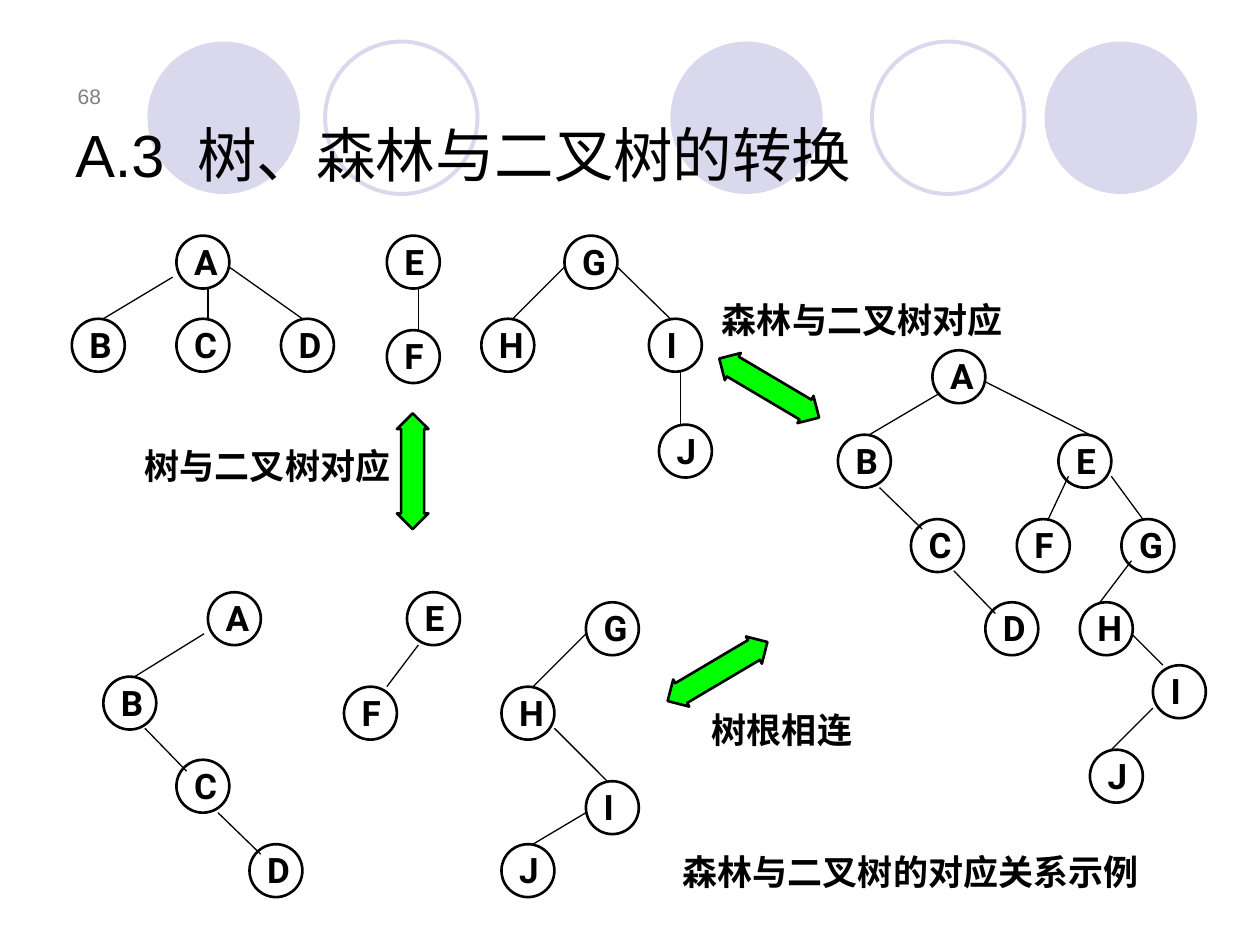
from pptx import Presentation
from pptx.dml.color import RGBColor
from pptx.enum.shapes import MSO_CONNECTOR, MSO_SHAPE as Shape
from pptx.enum.text import MSO_ANCHOR as Anchor, PP_ALIGN as Align
from pptx.oxml.ns import qn
from pptx.util import Inches, Pt
from lxml import etree

BLACK = RGBColor(0, 0, 0)
GRAY = RGBColor(0x80, 0x80, 0x80)
GREEN = RGBColor(0, 0xFF, 0)
LAVENDER = RGBColor(0xD9, 0xD8, 0xEC)

# Each tree: nodes as {letter: (left, top)}, edges as (x1, y1, x2, y2).
TREES = [
    # forest
    ({"A": (1.4, 1.87), "B": (0.57, 2.53), "C": (1.4, 2.53), "D": (2.23, 2.53)},
     [(1.37, 2.2, 0.82, 2.53), (1.82, 2.12, 2.4, 2.53), (1.65, 2.28, 1.65, 2.53)]),
    ({"E": (3.07, 1.87), "F": (3.07, 2.62)},
     [(3.32, 2.28, 3.32, 2.62)]),
    ({"G": (4.48, 1.87), "H": (3.82, 2.53), "I": (5.15, 2.53), "J": (5.23, 3.37)},
     [(4.48, 2.12, 4.07, 2.53), (4.9, 2.12, 5.32, 2.53), (5.4, 2.95, 5.4, 3.37)]),
    # one binary tree for each tree
    ({"A": (1.65, 4.7), "B": (0.82, 5.37), "C": (1.4, 6.03), "D": (1.98, 6.7)},
     [(1.62, 5.03, 1.07, 5.37), (1.15, 5.78, 1.48, 6.12), (1.73, 6.45, 2.07, 6.78)]),
    ({"E": (3.23, 4.7), "F": (2.73, 5.45)},
     [(3.32, 5.12, 3.07, 5.45)]),
    ({"G": (4.65, 4.78), "H": (3.98, 5.45), "I": (4.65, 6.2), "J": (3.98, 6.7)},
     [(4.65, 5.03, 4.23, 5.45), (4.4, 5.78, 4.82, 6.2), (4.65, 6.45, 4.23, 6.7)]),
    # joined binary tree
    ({"A": (7.4, 2.78), "B": (6.65, 3.45), "C": (7.23, 4.12), "D": (7.82, 4.78),
      "E": (8.4, 3.45), "F": (8.07, 4.12), "G": (8.9, 4.12), "H": (8.57, 4.78),
      "I": (9.15, 5.28), "J": (8.65, 5.95)},
     [(7.46, 3.12, 6.9, 3.45), (6.98, 3.87, 7.32, 4.2), (7.57, 4.53, 7.9, 4.87),
      (7.82, 3.03, 8.65, 3.45), (8.48, 3.78, 8.32, 4.12), (8.82, 3.78, 9.07, 4.12),
      (8.98, 4.45, 8.73, 4.78), (8.98, 5.03, 9.23, 5.28), (9.15, 5.62, 8.82, 5.95)]),
]

# left, top, rotation of the arrow, then its label and the label's box
CONVERSIONS = [
    (3.15, 3.28, 0, "树与二叉树对应", (1.15, 3.53, 1.96, 0.33)),
    (5.98, 2.62, 300.6, "森林与二叉树对应", (5.73, 2.37, 2.24, 0.33)),
    (5.57, 4.87, 59.4, "树根相连", (5.65, 5.62, 1.12, 0.33)),
]


class TreeSlide:
    node_size = 0.42
    circle_size = 1.21
    label_font = "Roboto"
    heading_font = "Arial"

    def __init__(self, slide):
        self.shapes = slide.shapes

    def outline(self, kind, box, fill=None, line=None, width=1.5):
        shape = self.shapes.add_shape(kind, *map(Inches, box))
        shape.shadow.inherit = False
        if fill is None:
            shape.fill.background()
        else:
            shape.fill.solid()
            shape.fill.fore_color.rgb = fill
        if line is None:
            shape.line.fill.background()
        else:
            shape.line.color.rgb = line
            shape.line.width = Pt(width)
        return shape

    def text(self, words, box, font, size=20, color=BLACK, bold=False, wrap=True,
             inset=True, anchor=Anchor.TOP, align=Align.LEFT, spacing=None):
        frame = self.shapes.add_textbox(*map(Inches, box)).text_frame
        frame.word_wrap = wrap
        frame.vertical_anchor = anchor
        if not inset:
            frame.margin_left = frame.margin_right = 0
            frame.margin_top = frame.margin_bottom = 0
        frame.text = words
        paragraph = frame.paragraphs[0]
        paragraph.alignment = align
        paragraph.line_spacing = spacing
        style = paragraph.runs[0].font
        style.name, style.size, style.bold = font, Pt(size), bold
        style.color.rgb = color

    def heading(self, words, box, **style):
        self.text(words, box, self.heading_font, anchor=Anchor.BOTTOM, **style)

    def label(self, words, box, **style):
        self.text(words, box, self.label_font, bold=True, **style)

    def circle(self, left, top, **style):
        self.outline(Shape.OVAL, (left, top, self.circle_size, self.circle_size), **style)

    def node(self, letter, left, top):
        self.label(letter, (left + 0.14, top + 0.1, 0.22, 0.27), inset=False, spacing=0.8)
        self.outline(Shape.OVAL, (left, top, self.node_size, self.node_size), line=BLACK)

    def edge(self, *ends):
        line = self.shapes.add_connector(MSO_CONNECTOR.STRAIGHT, *map(Inches, ends))
        line.line.color.rgb = BLACK
        line.line.width = Pt(0.75)
        etree.SubElement(line._element.spPr, qn("a:effectLst"))

    def tree(self, nodes, edges):
        for ends in edges:
            self.edge(*ends)
        for letter, (left, top) in nodes.items():
            self.node(letter, left, top)

    def conversion(self, left, top, rotation, words, label_box):
        arrow = self.outline(Shape.UP_DOWN_ARROW, (left, top, 0.25, 0.92), GREEN, BLACK)
        arrow.adjustments[0] = 0.5
        arrow.adjustments[1] = 0.73
        arrow.rotation = rotation
        self.label(words, label_box, wrap=False, inset=False)


def main():
    deck = Presentation()
    deck.slide_width, deck.slide_height = Inches(10), Inches(7.5)
    page = TreeSlide(deck.slides.add_slide(deck.slide_layouts[6]))

    for left in (5.32, 8.29, 1.17):
        page.circle(left, 0.33, fill=LAVENDER)
    for left in (6.92, 2.58):
        page.circle(left, 0.33, line=LAVENDER, width=2.25)
    page.heading("68", (0.35, 0.44, 0.55, 0.47), size=12, color=GRAY, align=Align.RIGHT)
    page.heading("A.3  树、森林与二叉树的转换", (0.5, 0.3, 9, 1.25), size=34)

    for nodes, edges in TREES:
        page.tree(nodes, edges)
    for conversion in CONVERSIONS:
        page.conversion(*conversion)
    page.label("森林与二叉树的对应关系示例", (5.32, 6.7, 3.92, 0.43))

    deck.save("out.pptx")


if __name__ == "__main__":
    main()
